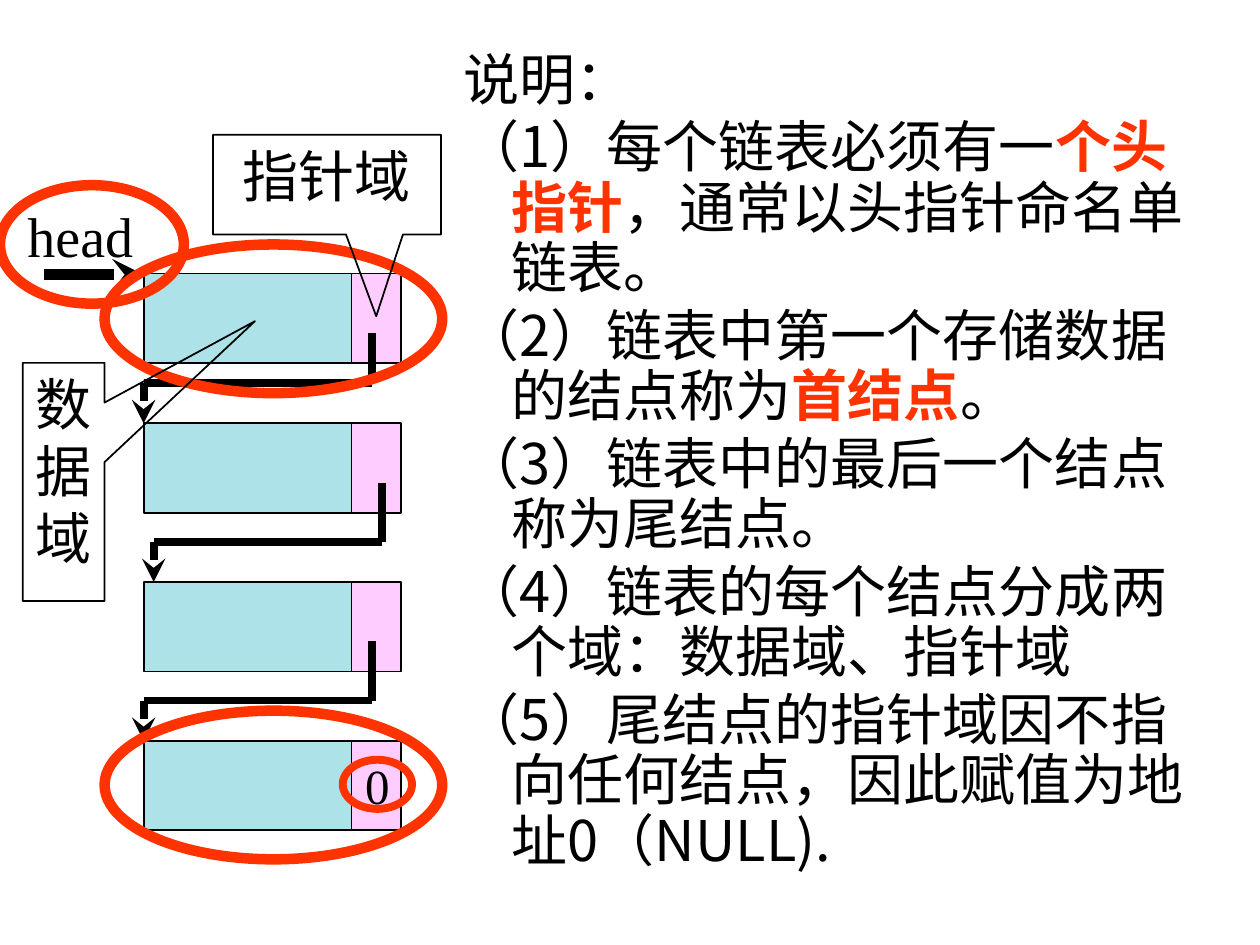
from lxml import etree
from pptx import Presentation
from pptx.dml.color import RGBColor
from pptx.enum.shapes import MSO_CONNECTOR, MSO_SHAPE
from pptx.enum.text import MSO_ANCHOR, MSO_AUTO_SIZE, PP_ALIGN
from pptx.oxml.ns import qn
from pptx.util import Inches, Pt

STRAIGHT = MSO_CONNECTOR.STRAIGHT
RECTANGLE, OVAL = MSO_SHAPE.RECTANGLE, MSO_SHAPE.OVAL
CALLOUT = MSO_SHAPE.RECTANGULAR_CALLOUT
TOP, CENTER, LEFT = MSO_ANCHOR.TOP, PP_ALIGN.CENTER, PP_ALIGN.LEFT
NO_AUTOFIT = MSO_AUTO_SIZE.NONE

SANS, SERIF = "Noto Sans CJK SC", "Times New Roman"
BLACK, RED, CYAN, PINK = "000000", "FF3300", "ADE2E9", "FFCCFF"

NOTES = [
    ["说明："],
    ["（1）每个链表必须有一", "*个头指针", "，通常以头指针命名单链表。"],
    ["（2）链表中第一个存储数据的结点称为", "*首结点", "。"],
    ["（3）链表中的最后一个结点称为尾结点。"],
    ["（4）链表的每个结点分成两个域：数据域、指针域"],
    ["（5）尾结点的指针域因不指向任何结点，因此赋值为地址0（NULL)."],
]
NODE_TOPS = [2.17, 3.36, 4.62, 5.88]
NODE_LEFT, DATA_WIDTH, POINTER_WIDTH, NODE_HEIGHT = 1.14, 1.65, 0.39, 0.71
LINKS = [(2.95, 1.14), (3.03, 1.22), (2.95, 1.14)]
LINK_START, LINK_TURN = 0.4, 0.32
LABELS = [("head", 32, (0.12, 1.55, 1.04, 0.64)), ("0", 28, (2.8, 5.95, 0.39, 0.57))]
RINGS = [
    ((0, 1.47, 1.46, 0.94), 6),
    ((0.83, 1.94, 2.68, 1.18), 6),
    ((0.83, 5.64, 2.68, 1.18), 6),
    ((2.72, 6.03, 0.55, 0.39), 4.5),
]
CALLOUTS = [
    ("数据域", (0.18, 2.88, 0.65, 1.89), (2.336, -0.675)),
    ("指针域", (1.69, 1.07, 1.81, 0.79), (0.216, 1.323)),
]


def color(hex_value):
    return RGBColor.from_string(hex_value)


def set_font(font, size, name):
    font.size, font.name = Pt(size), name
    font.color.rgb = color(BLACK)


def set_insets(frame):
    frame.margin_left = frame.margin_right = Inches(0.1)
    frame.margin_top = frame.margin_bottom = Inches(0.05)
    frame.vertical_anchor = TOP


def add_outline(slide, kind, box, line_color, width, fill=None):
    shape = slide.shapes.add_shape(kind, *map(Inches, box))
    shape.shadow.inherit = False
    if fill:
        shape.fill.solid()
        shape.fill.fore_color.rgb = color(fill)
    else:
        shape.fill.background()
    shape.line.color.rgb = color(line_color)
    shape.line.width = Pt(width)
    return shape


def add_line(slide, start, end, width, arrow=False):
    line = slide.shapes.add_connector(STRAIGHT, *map(Inches, (*start, *end)))
    line.line.color.rgb = color(BLACK)
    line.line.width = Pt(width)
    properties = line.line._get_or_add_ln()
    if arrow:
        etree.SubElement(properties, qn("a:tailEnd"), type="stealth")
    etree.SubElement(properties.getparent(), qn("a:effectLst"))


def add_notes(slide):
    body = slide.placeholders[1]
    body.left, body.top, body.width, body.height = map(Inches, (3.58, 0.36, 6.14, 6.85))
    frame = body.text_frame
    set_insets(frame)
    frame.word_wrap = True
    frame.auto_size = NO_AUTOFIT
    for index, parts in enumerate(NOTES):
        paragraph = frame.add_paragraph() if index else frame.paragraphs[0]
        properties = paragraph._p.get_or_add_pPr()
        properties.set("marL", str(Inches(0.38)))
        properties.set("indent", str(-Inches(0.38)))
        etree.SubElement(properties, qn("a:buNone"))
        paragraph.alignment = LEFT
        paragraph.line_spacing = 0.9
        paragraph.space_before = Pt(4 if index else 0)
        set_font(paragraph.font, 32, SANS)
        for part in parts:
            run = paragraph.add_run()
            run.text = part.lstrip("*")
            if part.startswith("*"):
                run.font.bold = True
                run.font.color.rgb = color(RED)


def add_nodes(slide):
    for top in NODE_TOPS:
        add_outline(slide, RECTANGLE, (NODE_LEFT, top, DATA_WIDTH, NODE_HEIGHT), BLACK, 1, CYAN)
        add_outline(slide, RECTANGLE, (NODE_LEFT + DATA_WIDTH, top, POINTER_WIDTH, NODE_HEIGHT),
                    BLACK, 1, PINK)


def add_links(slide):
    add_line(slide, (0.35, 2.18), (NODE_LEFT, 2.18), 6, arrow=True)
    for (right, left), top, next_top in zip(LINKS, NODE_TOPS, NODE_TOPS[1:]):
        turn = next_top - LINK_TURN
        corners = [(right, top + LINK_START + 0.07), (right, turn), (left, turn), (left, next_top)]
        for start, end in zip(corners, corners[1:]):
            add_line(slide, start, end, 4.5, arrow=end == corners[-1])


def add_labels(slide):
    for text, size, box in LABELS:
        frame = slide.shapes.add_textbox(*map(Inches, box)).text_frame
        set_insets(frame)
        frame.word_wrap = False
        frame.text = text
        set_font(frame.paragraphs[0].font, size, SERIF)


def add_callouts(slide):
    for text, box, tip in CALLOUTS:
        callout = add_outline(slide, CALLOUT, box, BLACK, 1)
        callout.adjustments[0], callout.adjustments[1] = tip
        frame = callout.text_frame
        set_insets(frame)
        frame.word_wrap = True
        frame.text = text
        frame.paragraphs[0].alignment = CENTER
        set_font(frame.paragraphs[0].font, 32, SERIF)


def main():
    presentation = Presentation()
    presentation.slide_width, presentation.slide_height = Inches(10), Inches(7.5)
    slide = presentation.slides.add_slide(presentation.slide_layouts[1])
    title = slide.shapes.title.element
    title.getparent().remove(title)
    add_notes(slide)
    add_nodes(slide)
    add_labels(slide)
    add_links(slide)
    for box, width in RINGS:
        add_outline(slide, OVAL, box, RED, width)
    add_callouts(slide)
    presentation.save("out.pptx")


if __name__ == "__main__":
    main()
